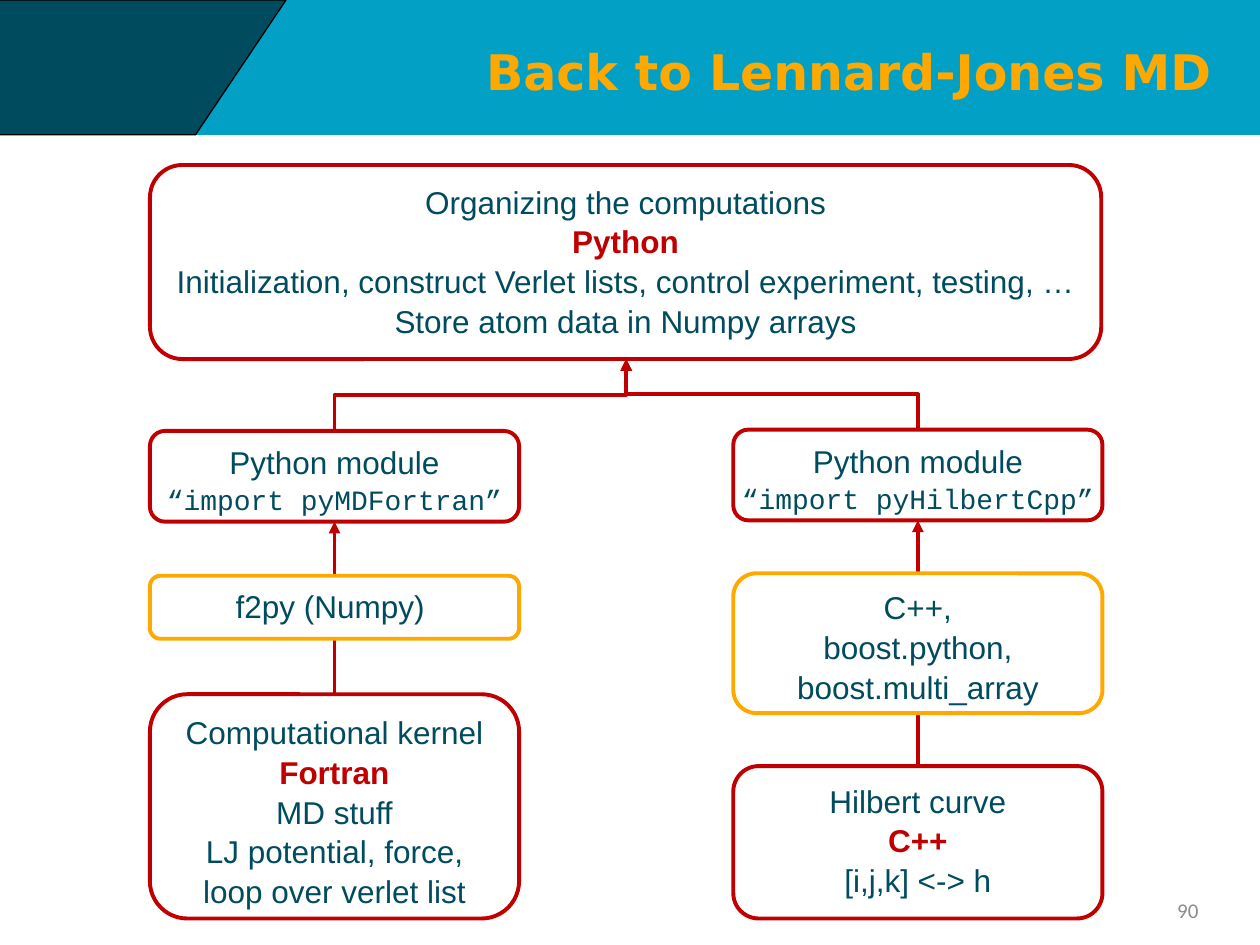
from dataclasses import dataclass

import pptx
import pptx.dml.color
import pptx.enum.shapes
import pptx.enum.text
import pptx.oxml
import pptx.oxml.ns
import pptx.util

Inches, Pt = pptx.util.Inches, pptx.util.Pt
SHAPE = pptx.enum.shapes.MSO_SHAPE
CONNECTOR = pptx.enum.shapes.MSO_CONNECTOR
ALIGN = pptx.enum.text.PP_ALIGN
ANCHOR = pptx.enum.text.MSO_ANCHOR


@dataclass(frozen=True)
class Style:
    font: str
    size: int
    color: str
    bold: bool = False


@dataclass(frozen=True)
class Theme:
    band: str = "03A0C5"
    petrol: str = "004C5E"
    red: str = "C00000"
    amber: str = "FFA800"
    white: str = "FFFFFF"
    black: str = "000000"
    title: Style = Style("DejaVu Sans", 28, "FFA800", True)
    body: Style = Style("Arial", 18, "004C5E")
    language: Style = Style("Arial", 18, "C00000", True)
    code: Style = Style("Courier New", 16, "004C5E")
    number: Style = Style("Calibri", 12, "8C8C8C")
    line_width: float = 2.25


THEME = Theme()

# Layout of the two branches
LEFT, RIGHT, BRANCH_WIDTH = 1.19, 5.82, 2.93
LEFT_AXIS, RIGHT_AXIS = LEFT + BRANCH_WIDTH / 2, RIGHT + BRANCH_WIDTH / 2
TOP_AXIS = (LEFT_AXIS + RIGHT_AXIS) / 2
DRIVER_TOP, DRIVER_HEIGHT = 1.31, 1.54
DRIVER_BOTTOM = DRIVER_TOP + DRIVER_HEIGHT
MODULE_HEIGHT = 0.72
BAND_HEIGHT = 1.07


def rgb(value):
    return pptx.dml.color.RGBColor.from_string(value)


def set_font(font, style):
    font.name = style.font
    font.size = Pt(style.size)
    font.bold = style.bold
    font.color.rgb = rgb(style.color)


def add_plain(slide, kind, box, fill, line, width):
    shape = slide.shapes.add_shape(kind, *map(Inches, box))
    shape.shadow.inherit = False
    shape.fill.solid()
    shape.fill.fore_color.rgb = rgb(fill)
    shape.line.color.rgb = rgb(line)
    shape.line.width = Pt(width)
    return shape


def add_header(slide):
    add_plain(slide, SHAPE.RECTANGLE, (0, 0, 10, BAND_HEIGHT),
              THEME.band, THEME.band, 0.75)
    corner = add_plain(slide, SHAPE.TRAPEZOID, (-2.26, 0, 4.53, BAND_HEIGHT),
                       THEME.petrol, THEME.black, 0.75)
    corner.adjustments[0] = 0.672
    corner.rotation = 180


def place_text(shape, text, style, box):
    shape.left, shape.top, shape.width, shape.height = map(Inches, box)
    frame = shape.text_frame
    frame.word_wrap = True
    frame.vertical_anchor = ANCHOR.MIDDLE
    frame.text = text
    frame.paragraphs[0].alignment = ALIGN.RIGHT
    set_font(frame.paragraphs[0].font, style)
    return frame


def add_title(slide, text):
    title = slide.shapes.title
    frame = place_text(title, text, THEME.title, (1.54, 0.22, 8.07, 0.69))
    frame.margin_left = frame.margin_right = 0
    frame.margin_top = frame.margin_bottom = 0
    # Bring the title in front of the header band
    slide.shapes._spTree.append(title._element)


def add_number(slide, text):
    box = (7.28, 7.02, 2.33, 0.4)
    number = slide.shapes.add_textbox(*map(Inches, box))
    place_text(number, text, THEME.number, box)


def add_stage(slide, box, paragraphs, line=THEME.red, side_margin=0.1):
    """Rounded box; each paragraph is a list of (text, style) runs."""
    stage = add_plain(slide, SHAPE.ROUNDED_RECTANGLE, box,
                      THEME.white, line, THEME.line_width)
    frame = stage.text_frame
    frame.word_wrap = True
    frame.vertical_anchor = ANCHOR.TOP
    frame.margin_left = frame.margin_right = Inches(side_margin)
    for index, runs in enumerate(paragraphs):
        paragraph = frame.add_paragraph() if index else frame.paragraphs[0]
        paragraph.alignment = ALIGN.CENTER
        paragraph.line_spacing = 1.05
        if len(runs) == 1:
            text, style = runs[0]
            paragraph.text = text
            set_font(paragraph.font, style)
            continue
        for text, style in runs:
            run = paragraph.add_run()
            run.text = text
            set_font(run.font, style)


def add_arrow(slide, kind, start, end):
    arrow = slide.shapes.add_connector(kind, *map(Inches, (*start, *end)))
    arrow.line.color.rgb = rgb(THEME.red)
    arrow.line.width = Pt(THEME.line_width)
    head = pptx.oxml.parse_xml(
        '<a:tailEnd %s type="triangle"/>' % pptx.oxml.ns.nsdecls("a"))
    arrow.line._get_or_add_ln().append(head)
    effects = pptx.oxml.parse_xml(
        "<a:effectLst %s/>" % pptx.oxml.ns.nsdecls("a"))
    arrow._element.spPr.append(effects)
    return arrow


def add_rising_elbow(slide, start, end):
    """Elbow that leaves upwards: a sideways elbow turned by 270 degrees."""
    (x0, y0), (x1, y1) = start, end
    mid_x, mid_y = (x0 + x1) / 2, (y0 + y1) / 2
    half_rise, half_run = (y0 - y1) / 2, (x1 - x0) / 2
    elbow = add_arrow(slide, CONNECTOR.ELBOW,
                      (mid_x - half_rise, mid_y - half_run),
                      (mid_x + half_rise, mid_y + half_run))
    elbow._element.spPr.xfrm.set("rot", str(270 * 60000))


def add_branch(slide, left, module, module_top, margin, kernel, kernel_box,
               binding, binding_box):
    axis = left + BRANCH_WIDTH / 2

    def box(top, height):
        return left, top, BRANCH_WIDTH, height

    add_stage(slide, box(*kernel_box), kernel)
    add_stage(slide, box(module_top, MODULE_HEIGHT),
              [[("Python module", THEME.body)], [(module, THEME.code)]],
              side_margin=margin)
    # Links: module to driver, kernel to module
    add_rising_elbow(slide, (axis, module_top), (TOP_AXIS, DRIVER_BOTTOM))
    add_arrow(slide, CONNECTOR.STRAIGHT, (axis, kernel_box[0]),
              (axis, module_top + MODULE_HEIGHT))
    # The binding tool sits on top of the kernel link
    add_stage(slide, box(*binding_box), [[(binding, THEME.body)]], THEME.amber)


def main():
    deck = pptx.Presentation()
    deck.slide_width, deck.slide_height = Inches(10), Inches(7.5)
    slide = deck.slides.add_slide(deck.slide_layouts[5])
    body, language = THEME.body, THEME.language

    add_header(slide)
    add_title(slide, "Back to Lennard-Jones MD")
    add_number(slide, "90")

    # Python driver
    add_stage(slide, (LEFT, DRIVER_TOP, 7.55, DRIVER_HEIGHT), [
        [("Organizing the computations", body)],
        [("Python", language)],
        [("Initialization, construct Verlet lists, control experiment, "
          "testing, …", body)],
        [("Store atom data in Numpy arrays", body)]])

    # Fortran branch
    add_branch(slide, LEFT, "“import pyMDFortran”", 3.42, 0.08, [
        [("Computational kernel ", body), ("Fortran", language)],
        [("MD stuff", body)],
        [("LJ potential, force, loop over verlet list", body)]],
        (5.51, 1.78), "f2py (Numpy) ", (4.57, 0.5))

    # C++ branch
    add_branch(slide, RIGHT, "“import pyHilbertCpp”", 3.41, 0, [
        [("Hilbert curve", body)],
        [("C++", language)],
        [("[i,j,k] <-> h", body)]],
        (6.08, 1.21), "C++,\nboost.python, boost.multi_array", (4.55, 1.11))

    deck.save("out.pptx")


if __name__ == "__main__":
    main()
